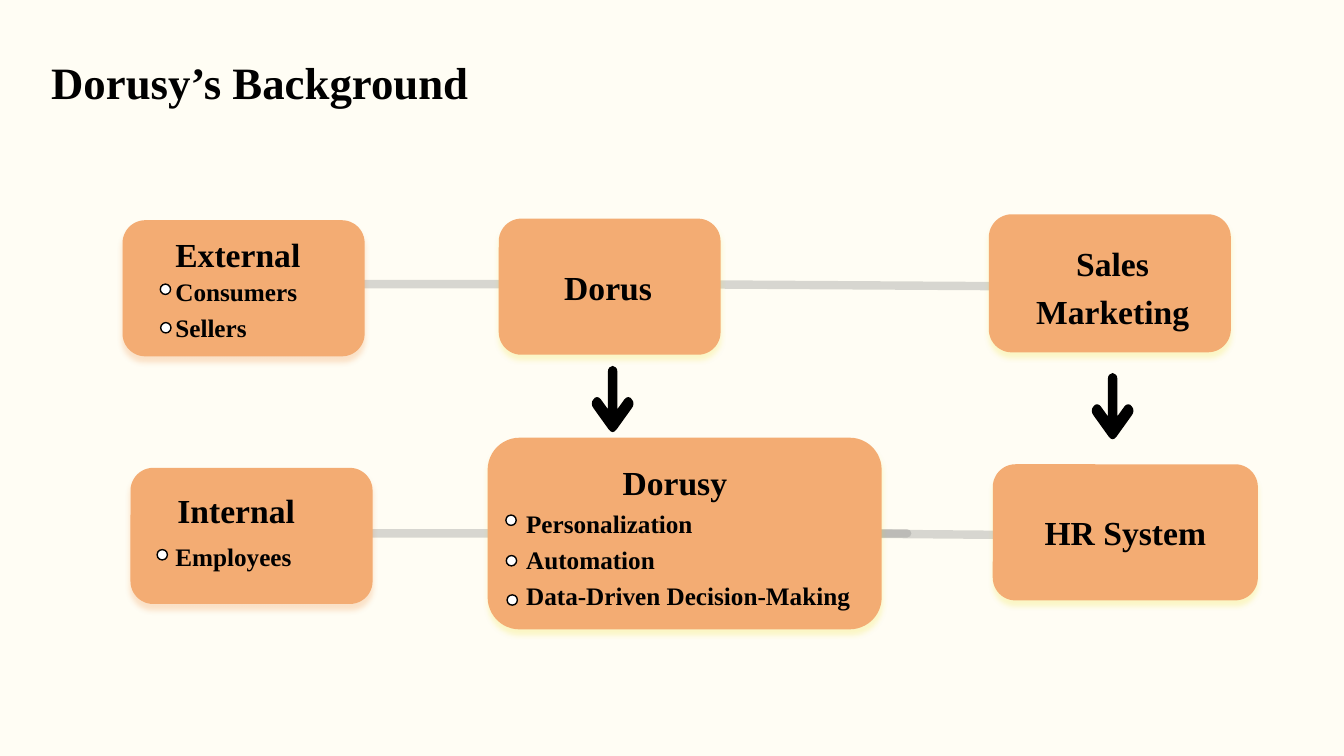
from lxml.etree import SubElement
from pptx import Presentation
from pptx.dml.color import RGBColor
from pptx.enum.shapes import MSO_CONNECTOR, MSO_SHAPE
from pptx.enum.text import MSO_ANCHOR, PP_ALIGN
from pptx.oxml import parse_xml
from pptx.oxml.ns import nsdecls, qn
from pptx.util import Cm, Pt

FONT = "Times New Roman"
COLOURS = {
    "background": "FFFDF4",
    "box": "F3AC73",
    "link": "808080",
    "text": "000000",
    "dot": "FFFFFF",
    "orange shadow": "EB7515",
    "yellow shadow": "ECDD0E",
}
# Left half of the arrow in cm from its top centre: one point ends a line,
# three points make a cubic curve.
ARROW_HALF = [
    [(-0.07, 0), (-0.12, 0.07), (-0.12, 0.15)],
    [(-0.12, 1.09)],
    [(-0.3, 0.84)],
    [(-0.35, 0.77), (-0.44, 0.77), (-0.48, 0.84)],
    [(-0.54, 0.9), (-0.54, 1), (-0.48, 1.07)],
    [(-0.1, 1.6)],
    [(-0.06, 1.65), (-0.03, 1.67), (0, 1.67)],
]


def colour(name):
    return RGBColor.from_string(COLOURS[name])


def write(frame, text, size=24, align=PP_ALIGN.LEFT, spacing=None):
    frame.word_wrap = True
    for index, line in enumerate(text.split("\n")):
        para = frame.add_paragraph() if index else frame.paragraphs[0]
        para.alignment = align
        para.line_spacing = spacing
        span = para.add_run()
        span.text = line
        span.font.name = FONT
        span.font.size = Pt(size)
        span.font.bold = True
        span.font.color.rgb = colour("text")


def add_text(page, text, left, top, width, height, **style):
    box = page.shapes.add_textbox(Cm(left), Cm(top), Cm(width), Cm(height))
    write(box.text_frame, text, **style)


def add_box(page, left, top, width, height, shadow):
    box = page.shapes.add_shape(
        MSO_SHAPE.ROUNDED_RECTANGLE, Cm(left), Cm(top), Cm(width), Cm(height))
    box.fill.solid()
    box.fill.fore_color.rgb = colour("box")
    box.line.fill.background()
    box.shadow.inherit = False
    effects = box._element.spPr.find(qn("a:effectLst"))
    effects.append(parse_xml(
        f'<a:outerShdw {nsdecls("a")} blurRad="{Pt(4)}" dist="{Pt(4)}" '
        f'dir="5400000" algn="t" rotWithShape="0">'
        f'<a:srgbClr val="{COLOURS[shadow]}"><a:alpha val="20000"/></a:srgbClr>'
        f'</a:outerShdw>'))
    return box


def add_link(page, *ends):
    link = page.shapes.add_connector(
        MSO_CONNECTOR.STRAIGHT, *(Cm(value) for value in ends))
    link.line.width = Pt(6)
    link.line.color.rgb = colour("link")
    link.line._ln.set("cap", "rnd")
    tint = link.line._ln.find(".//" + qn("a:srgbClr"))
    SubElement(tint, qn("a:alpha"), val="31000")
    SubElement(link._element.spPr, qn("a:effectLst"))


def add_dot(page, left, top):
    dot = page.shapes.add_shape(
        MSO_SHAPE.OVAL, Cm(left), Cm(top), Cm(0.26), Cm(0.26))
    dot.fill.solid()
    dot.fill.fore_color.rgb = colour("dot")
    dot.line.color.rgb = colour("text")
    dot.line.width = Pt(1)
    dot.shadow.inherit = False


def arrow_segments():
    """Return the left half followed by its mirror image, drawn back up."""
    starts = [(0, 0)] + [segment[-1] for segment in ARROW_HALF]
    mirrored = [
        [(-x, y) for x, y in reversed([start] + segment[:-1])]
        for start, segment in zip(starts, ARROW_HALF)]
    return ARROW_HALF + mirrored[::-1]


def add_down_arrow(page, centre, top):
    segments = arrow_segments()
    points = [(Cm(centre + x), Cm(top + y))
              for segment in segments for x, y in segment]
    builder = page.shapes.build_freeform(Cm(centre), Cm(top))
    builder.add_line_segments(points, close=True)
    arrow = builder.convert_to_shape()
    # Join the three lines of each curve into one cubic.
    lines = iter(list(arrow._element.iter(qn("a:lnTo"))))
    for segment in segments:
        first, *others = [next(lines) for _ in segment]
        if others:
            first.tag = qn("a:cubicBezTo")
            for line in others:
                first.append(line[0])
                line.getparent().remove(line)
    arrow.fill.solid()
    arrow.fill.fore_color.rgb = colour("text")
    arrow.line.fill.background()
    arrow.shadow.inherit = False


def main():
    deck = Presentation()
    deck.slide_width, deck.slide_height = Cm(33.87), Cm(19.05)
    page = deck.slides.add_slide(deck.slide_layouts[6])
    page.background.fill.solid()
    page.background.fill.fore_color.rgb = colour("background")

    add_link(page, 29.18, 13.51, 20.68, 13.44)
    add_link(page, 25.07, 7.21, 16.56, 7.16)
    add_link(page, 12.88, 7.16, 6.78, 7.16)
    add_link(page, 22.86, 13.44, 16.76, 13.44)
    add_link(page, 13.08, 13.44, 6.99, 13.44)

    add_box(page, 3.09, 5.55, 6.1, 3.43, "orange shadow")
    add_box(page, 12.57, 5.51, 5.59, 3.43, "yellow shadow")
    add_box(page, 24.92, 5.4, 6.1, 3.48, "yellow shadow")
    add_box(page, 3.29, 11.79, 6.1, 3.43, "orange shadow")
    hr_system = add_box(page, 25.02, 11.7, 6.68, 3.43, "yellow shadow")
    hr_system.text_frame.vertical_anchor = MSO_ANCHOR.MIDDLE
    write(hr_system.text_frame, "HR System", align=PP_ALIGN.CENTER)
    add_box(page, 12.29, 11.03, 9.93, 4.83, "yellow shadow")

    add_text(page, "Dorusy’s Background", 1.04, 1.25, 13.79, 1.63, size=32)
    add_text(page, "Sales\nMarketing", 24.99, 5.79, 6.1, 2.08,
             align=PP_ALIGN.CENTER, spacing=1.2)
    add_text(page, "External", 4.17, 5.56, 5.21, 2.16, spacing=1.2)
    add_text(page, "Internal", 4.22, 12.01, 5.21, 2.16, spacing=1.2)
    add_text(page, "Dorus", 13.97, 6.4, 5.21, 2.16, spacing=1.2)
    add_text(page, "Dorusy", 15.44, 11.3, 3.23, 1.55, spacing=1.2)
    add_text(page, "Consumers\nSellers", 4.17, 6.68, 3.91, 2.08,
             size=18, spacing=1.2)
    add_text(page, "Employees", 4.17, 13.36, 4.55, 2.08, size=18, spacing=1.2)
    add_text(page, "Personalization\nAutomation\nData-Driven Decision-Making",
             13.01, 12.53, 10.69, 3.18, size=18, spacing=1.2)

    for left, top in [(4.04, 7.16), (4.05, 8.13), (3.96, 13.85),
                      (12.75, 12.98), (12.76, 14), (12.78, 14.99)]:
        add_dot(page, left, top)
    add_down_arrow(page, 15.44, 9.22)
    add_down_arrow(page, 28.04, 9.4)

    deck.save("out.pptx")


if __name__ == "__main__":
    main()
